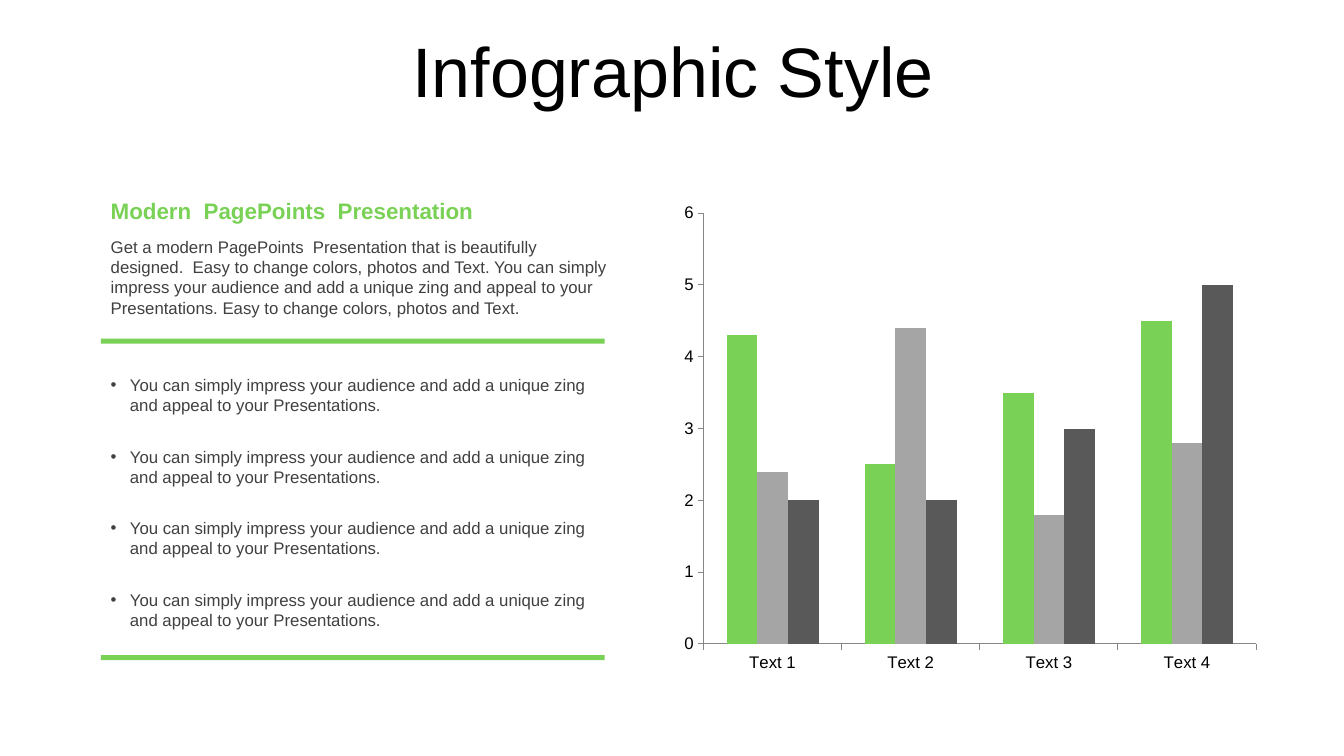
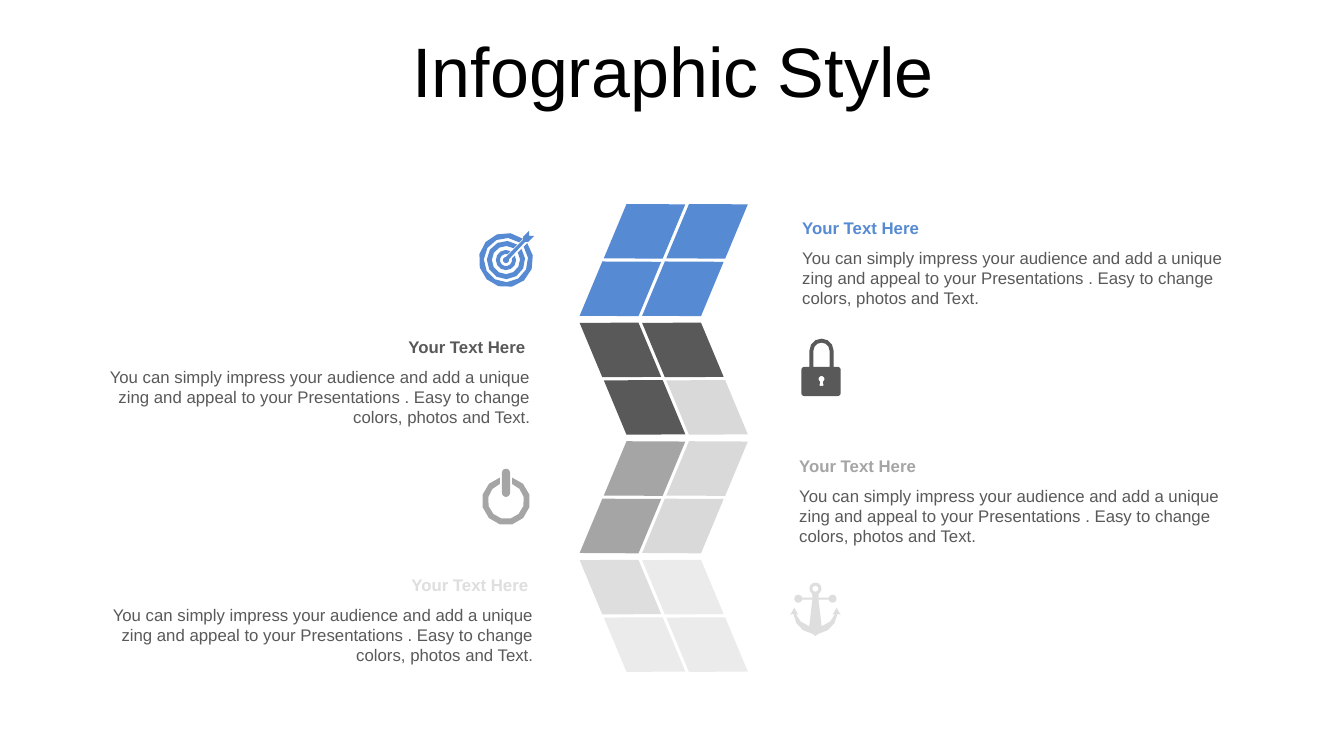
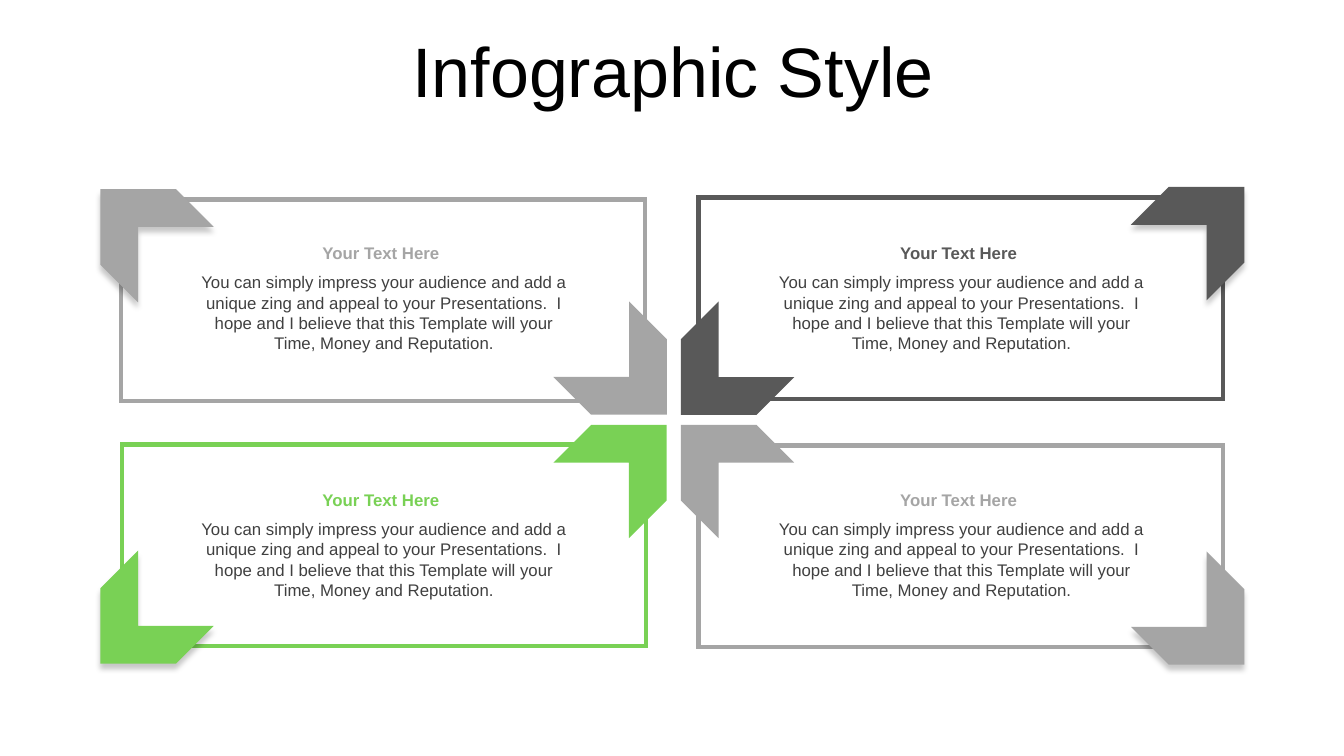
from dataclasses import dataclass
from math import asin, cos, degrees, radians, sin
from typing import Any

from lxml.etree import SubElement
from pptx import Presentation
from pptx.chart.data import CategoryChartData
from pptx.dml.color import RGBColor
from pptx.enum.chart import XL_CHART_TYPE, XL_TICK_MARK
from pptx.enum.shapes import MSO_SHAPE
from pptx.enum.text import MSO_ANCHOR, MSO_AUTO_SIZE, PP_ALIGN
from pptx.oxml.ns import qn
from pptx.util import Inches, Pt

Point = tuple[float, float]
Contour = list[Point]

FONT = "Arial"
TITLE = "Infographic Style"
HEADING = "Your Text Here"
COLORS = {
    "black": "000000",
    "white": "FFFFFF",
    "green": "79D155",
    "blue": "568AD3",
    "text": "404040",
    "dark": "595959",
    "gray": "A5A5A5",
    "silver": "DEDEDE",
    "light": "D9D9D9",
    "axis": "868686",
}
TITLE_FRAME = {
    "auto_size": MSO_AUTO_SIZE.NONE,
    "vertical_anchor": MSO_ANCHOR.MIDDLE,
    "margin_left": Inches(0.1),
    "margin_right": Inches(0.1),
    "margin_top": Inches(0.1),
    "margin_bottom": Inches(0.05),
    "word_wrap": True,
}


@dataclass(frozen=True)
class TextBlock:
    left: float
    top: float
    width: float
    color: str
    align: PP_ALIGN
    body_offset: float = 0.3
    has_plate: bool = False


@dataclass(frozen=True)
class Band:
    """Two rows of two tiles; colours run row by row from the top left."""
    leans_right: bool
    tiles: tuple[str, str, str, str]
    alphas: tuple[int, int, int, int] = (100, 100, 100, 100)


@dataclass(frozen=True)
class Card:
    left: float
    top: float
    color: str
    is_right: bool
    is_bottom: bool


def rgb(color: str) -> RGBColor:
    return RGBColor.from_string(COLORS[color])


def set_values(target: Any, values: dict[str, Any]) -> None:
    for name, value in values.items():
        setattr(target, name, value)


def set_font(font: Any, size: float, color: str, bold: bool = False) -> None:
    set_values(font, {"name": FONT, "size": Pt(size), "bold": bold})
    font.color.rgb = rgb(color)


def add_titled_slide(presentation: Any) -> Any:
    slide = presentation.slides.add_slide(presentation.slide_layouts[5])
    title = slide.shapes.title
    set_values(title, {"left": Inches(0.35), "top": Inches(0.37),
                       "width": Inches(12.66), "height": Inches(0.79)})
    set_values(title.text_frame, TITLE_FRAME)
    paragraph = title.text_frame.paragraphs[0]
    set_values(paragraph, {"alignment": PP_ALIGN.CENTER, "line_spacing": 0.7})
    run = paragraph.add_run()
    run.text = TITLE
    set_font(run.font, 50, "black")
    return slide


def add_text(slide: Any, text: str, left: float, top: float, width: float, height: float,
             color: str, size: float = 12, bold: bool = False,
             align: PP_ALIGN = PP_ALIGN.LEFT, bullet: bool = False,
             has_plate: bool = False) -> None:
    """Add a text box, or a white rectangle with text if it has a plate."""
    if has_plate:
        box = add_shape(slide, MSO_SHAPE.RECTANGLE, left, top, width, height, "white")
    else:
        box = slide.shapes.add_textbox(Inches(left), Inches(top), Inches(width), Inches(height))
    box.text_frame.word_wrap = True
    paragraph = box.text_frame.paragraphs[0]
    paragraph.alignment = align
    if bullet:
        properties = paragraph._p.get_or_add_pPr()
        properties.set("marL", str(Inches(0.19)))
        properties.set("indent", str(-Inches(0.19)))
        SubElement(properties, qn("a:buFont"), typeface=FONT)
        SubElement(properties, qn("a:buChar"), char="•")
    run = paragraph.add_run()
    run.text = text
    set_font(run.font, size, color, bold)


def add_text_block(slide: Any, block: TextBlock, body: str, body_color: str) -> None:
    shift = 0 if block.align == PP_ALIGN.LEFT else 0.01
    add_text(slide, HEADING, block.left - shift, block.top, block.width - 0.04, 0.3,
             block.color, bold=True, align=block.align, has_plate=block.has_plate)
    add_text(slide, body, block.left, block.top + block.body_offset, block.width, 0.71,
             body_color, align=block.align)


def paint(shape: Any, color: str, alpha: int = 100) -> None:
    """Give a shape a plain fill without outline or shadow."""
    shape.shadow.inherit = False
    shape.fill.solid()
    shape.fill.fore_color.rgb = rgb(color)
    shape.line.fill.background()
    if alpha < 100:
        fill_color = shape._element.spPr.find(f"{qn('a:solidFill')}/{qn('a:srgbClr')}")
        SubElement(fill_color, qn("a:alpha"), val=str(alpha * 1000))


def add_shape(slide: Any, kind: MSO_SHAPE, left: float, top: float, width: float,
              height: float, color: str, rotation: float = 0, alpha: int = 100) -> Any:
    shape = slide.shapes.add_shape(kind, Inches(left), Inches(top), Inches(width), Inches(height))
    shape.rotation = rotation
    paint(shape, color, alpha)
    return shape


def add_drop_shadow(shape: Any) -> None:
    effects = shape._element.spPr.find(qn("a:effectLst"))
    shadow = SubElement(effects, qn("a:outerShdw"), blurRad=str(Pt(4)), dist=str(Pt(4)),
                        dir="5400000", algn="t", rotWithShape="0")
    color = SubElement(shadow, qn("a:srgbClr"), val=COLORS["black"])
    SubElement(color, qn("a:alpha"), val="22000")


def arc(center: Point, radius: float, start: float, end: float) -> Contour:
    """Points along an arc; angles are in degrees, clockwise from the right."""
    steps = max(2, round(abs(end - start) / 30))
    angles = [radians(start + (end - start) * step / steps) for step in range(steps + 1)]
    return [(center[0] + radius * cos(angle), center[1] + radius * sin(angle))
            for angle in angles]


def split_ring(center: Point, outer: float, inner: float, gap_angle: float,
               half_gap: float) -> Contour:
    """A ring with a gap of even width at one angle."""
    wide, narrow = (degrees(asin(half_gap / radius)) for radius in (outer, inner))
    return (arc(center, outer, gap_angle + wide, gap_angle + 360 - wide)
            + arc(center, inner, gap_angle + 360 - narrow, gap_angle + narrow))


def add_outline(slide: Any, contours: list[Contour], color: str) -> None:
    scaled = [[(Inches(x), Inches(y)) for x, y in contour] for contour in contours]
    builder = slide.shapes.build_freeform(*scaled[0][0])
    for index, contour in enumerate(scaled):
        if index:
            builder.move_to(*contour[0])
        builder.add_line_segments(contour[1:], close=True)
    paint(builder.convert_to_shape(), color)


def target_icon() -> list[Contour]:
    center = (5.02, 2.58)
    rings = [(0.1, 0.06), (0.19, 0.14), (0.27, 0.22)]
    arrow = [(5.19, 2.38), (5.19, 2.35), (5.25, 2.29), (5.25, 2.34),
             (5.3, 2.34), (5.24, 2.4), (5.21, 2.4)]
    return [split_ring(center, outer, inner, -45, 0.03) for outer, inner in rings] + [
        arrow + arc(center, 0.03, -15, 270)]


def power_icon() -> list[Contour]:
    bar = arc((5.02, 4.69), 0.04, 180, 360) + arc((5.02, 4.89), 0.04, 0, 180)
    return [split_ring((5.02, 4.97), 0.24, 0.18, -90, 0.06), bar]


def lock_icon() -> list[Contour]:
    outline = (arc((7.98, 3.67), 0.03, 180, 270) + [(8.03, 3.64)]
               + arc((8.15, 3.48), 0.12, 180, 360) + [(8.27, 3.64)]
               + arc((8.31, 3.67), 0.03, 270, 360) + arc((8.31, 3.9), 0.03, 0, 90)
               + arc((7.98, 3.9), 0.03, 90, 180))
    shackle_hole = [(8.07, 3.64), *arc((8.15, 3.48), 0.08, 180, 360), (8.23, 3.64)]
    keyhole = [*arc((8.15, 3.76), 0.03, 120, 420), (8.17, 3.83), (8.13, 3.83)]
    return [outline, shackle_hole, keyhole]


def anchor_icon() -> list[Contour]:
    middle = 8.09
    right_half = (arc((middle, 5.84), 0.06, -90, 57) + [(8.12, 5.93)]
                  + arc((8.26, 5.94), 0.04, -165, 165) + [(8.12, 5.95)]
                  + arc((8.1, 6.02), 0.2, 75, 20)
                  + [(8.26, 6.1), (8.3, 6.03), (8.34, 6.1)]
                  + arc((middle, 6.07), 0.22, 5, 82) + [(middle, 6.31)])
    left_half = [(2 * middle - x, y) for x, y in reversed(right_half)]
    return [right_half + left_half, arc((middle, 5.84), 0.03, 0, 360)]


def add_column_chart(slide: Any) -> None:
    data = CategoryChartData()
    data.categories = [f"Text {number}" for number in range(1, 5)]
    series_values = {"green": (4.3, 2.5, 3.5, 4.5), "gray": (2.4, 4.4, 1.8, 2.8),
                     "dark": (2, 2, 3, 5)}
    for number, values in enumerate(series_values.values(), 1):
        data.add_series(f"Series {number}", values)
    chart = slide.shapes.add_chart(XL_CHART_TYPE.COLUMN_CLUSTERED, Inches(6.67), Inches(1.93),
                                   Inches(5.91), Inches(4.83), data).chart
    set_values(chart, {"has_legend": False, "has_title": False})
    set_font(chart.font, 18, "black")
    plot = chart.plots[0]
    set_values(plot, {"gap_width": 150, "overlap": 0, "vary_by_categories": False})
    for series, color in zip(plot.series, series_values):
        series.format.fill.solid()
        series.format.fill.fore_color.rgb = rgb(color)
    for axis in (chart.category_axis, chart.value_axis):
        set_values(axis, {"has_major_gridlines": False, "major_tick_mark": XL_TICK_MARK.OUTSIDE})
        set_font(axis.tick_labels.font, 12, "black")
        axis.format.line.color.rgb = rgb("axis")
        axis.format.line.width = Pt(0.75)
    set_values(chart.value_axis, {"minimum_scale": 0, "maximum_scale": 6, "major_unit": 1})


def build_chart_slide(presentation: Any) -> None:
    slide = add_titled_slide(presentation)
    add_column_chart(slide)
    for top in (3.36, 6.5):
        add_shape(slide, MSO_SHAPE.RECTANGLE, 1, top, 5, 0.05, "green")
    for row in range(4):
        add_text(slide, "You can simply impress your audience and add a unique zing "
                 "and appeal to your Presentations.",
                 1, 3.67 + 0.71 * row, 5.19, 0.5, "text", bullet=True)
    add_text(slide, "Modern  PagePoints  Presentation", 1, 1.91, 5.19, 0.37, "green", 16, True)
    add_text(slide, "Get a modern PagePoints  Presentation that is beautifully designed.  "
             "Easy to change colors, photos and Text. You can simply impress your audience "
             "and add a unique zing and appeal to your Presentations. "
             "Easy to change colors, photos and Text.", 1, 2.3, 5.19, 0.91, "text")


def build_tile_slide(presentation: Any) -> None:
    slide = add_titled_slide(presentation)
    bands = [
        Band(True, ("blue",) * 4),
        Band(False, ("dark", "dark", "dark", "light")),
        Band(True, ("gray", "light", "gray", "light")),
        Band(False, ("silver", "light", "light", "light"), (100, 50, 50, 50)),
    ]
    for index, band in enumerate(bands):
        rotation = 326.5 if band.leans_right else 33.5
        for position, (color, alpha) in enumerate(zip(band.tiles, band.alphas)):
            row, column = divmod(position, 2)
            is_shifted = band.leans_right == (row == 0)
            add_shape(slide, MSO_SHAPE.FLOWCHART_DECISION,
                      5.67 + 0.62 * column + 0.24 * is_shifted,
                      1.97 + 3.53 * index / 3 + 0.57 * row, 0.97, 0.65, color, rotation, alpha)
    body = ("You can simply impress your audience and add a unique zing and appeal to your "
            "Presentations . Easy to change colors, photos and Text.")
    for block in (
        TextBlock(7.86, 2.11, 4.51, "blue", PP_ALIGN.LEFT),
        TextBlock(7.83, 4.47, 4.51, "gray", PP_ALIGN.LEFT),
        TextBlock(0.8, 3.29, 4.56, "dark", PP_ALIGN.RIGHT),
        TextBlock(0.83, 5.65, 4.56, "silver", PP_ALIGN.RIGHT, has_plate=True),
    ):
        add_text_block(slide, block, body, "dark")
    add_outline(slide, power_icon(), "gray")
    add_outline(slide, target_icon(), "blue")
    add_outline(slide, lock_icon(), "dark")
    add_outline(slide, anchor_icon(), "silver")


def add_card(slide: Any, card: Card) -> None:
    """A framed card with a chevron at its inner and at its outer corner."""
    frame = add_shape(slide, MSO_SHAPE.RECTANGLE, card.left, card.top, 5.2, 2, "white")
    frame.line.color.rgb = rgb(card.color)
    frame.line.width = Pt(3)
    SubElement(frame.line._get_or_add_ln(), qn("a:miter"), lim="800000")
    rotations = {(False, False): 225, (True, False): 315, (True, True): 45, (False, True): 135}
    size = 1.06
    add_shape(slide, MSO_SHAPE.CHEVRON, 6.6 if card.is_right else 5.71,
              4.06 if card.is_bottom else 3.21, size, size, card.color,
              rotations[not card.is_right, not card.is_bottom])
    outer = add_shape(slide, MSO_SHAPE.CHEVRON, 11.44 if card.is_right else 0.84,
                      card.top + (1.27 if card.is_bottom else -0.26), size, size, card.color,
                      rotations[card.is_right, card.is_bottom])
    add_drop_shadow(outer)


def build_card_slide(presentation: Any) -> None:
    slide = add_titled_slide(presentation)
    body = ("You can simply impress your audience and add a unique zing and appeal to your "
            "Presentations.  I hope and I believe that this Template will your Time, "
            "Money and Reputation.")
    cards = [
        Card(1.21, 4.41, "green", False, True),
        Card(1.2, 1.98, "gray", False, False),
        Card(6.93, 1.96, "dark", True, False),
        Card(6.93, 4.42, "gray", True, True),
    ]
    for card in cards:
        add_card(slide, card)
    for card in cards:
        block = TextBlock(7.6 if card.is_right else 1.87, 4.81 if card.is_bottom else 2.36,
                          3.88, card.color, PP_ALIGN.CENTER, body_offset=0.29)
        add_text_block(slide, block, body, "text")


def main() -> None:
    presentation = Presentation()
    presentation.slide_width = Inches(40 / 3)
    presentation.slide_height = Inches(7.5)
    build_chart_slide(presentation)
    build_tile_slide(presentation)
    build_card_slide(presentation)
    presentation.save("out.pptx")


if __name__ == "__main__":
    main()
